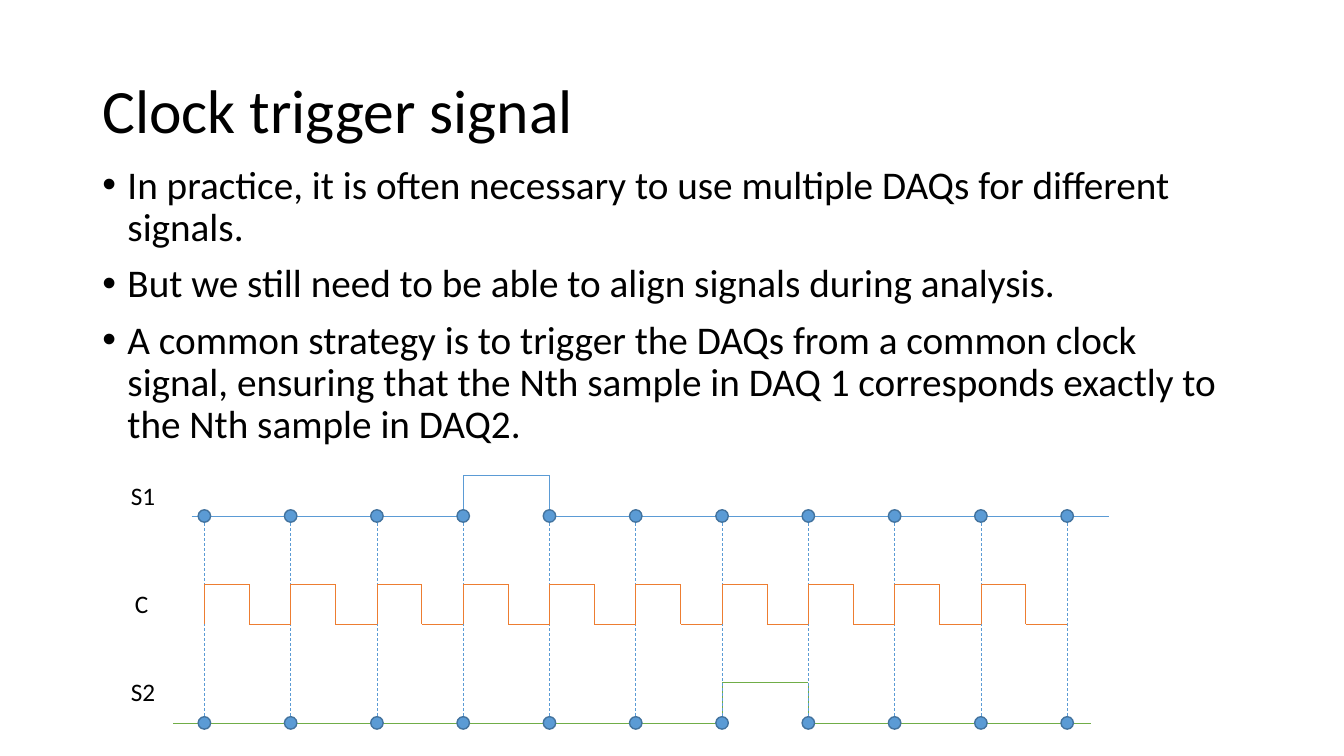
import collections
import itertools

import pptx
import pptx.dml.color
import pptx.enum.dml
import pptx.enum.shapes
import pptx.enum.text
import pptx.oxml
import pptx.oxml.ns
import pptx.util

Pt = pptx.util.Pt
Box = collections.namedtuple("Box", "left top width height")

BLACK = pptx.dml.color.RGBColor(0x00, 0x00, 0x00)
BLUE = pptx.dml.color.RGBColor(0x5B, 0x9B, 0xD5)
DARK_BLUE = pptx.dml.color.RGBColor(0x43, 0x73, 0x9E)
GREEN = pptx.dml.color.RGBColor(0x70, 0xAD, 0x47)
ORANGE = pptx.dml.color.RGBColor(0xED, 0x7D, 0x31)

TITLE = "Clock trigger signal"
POINTS = [
    "In practice, it is often necessary to use multiple DAQs for different signals.",
    "But we still need to be able to align signals during analysis.",
    "A common strategy is to trigger the DAQs from a common clock signal, ensuring that "
    "the Nth sample in DAQ 1 corresponds exactly to the Nth sample in DAQ2.",
]

SAMPLES = 11
PITCH = 61.63
FIRST_SAMPLE = 59.6
PULSE_HEIGHT = 28.8
HIGH_TIME = 32
DOT_SIZE = 8.9


def set_attributes(target, values):
    """Set each named attribute of the target."""
    for name, value in values.items():
        setattr(target, name, value)


def add_text(shapes, box, lines, size, anchor, paragraph_format):
    """Add a wrapped text box with one paragraph per line and return it."""
    text_box = shapes.add_textbox(*map(Pt, box))
    frame = text_box.text_frame
    set_attributes(frame, {"word_wrap": True, "vertical_anchor": anchor})
    for index, line in enumerate(lines):
        para = frame.add_paragraph() if index else frame.paragraphs[0]
        set_attributes(para, paragraph_format)
        span = para.add_run()
        span.text = line
        set_attributes(span.font, {"name": "Calibri", "size": Pt(size)})
        span.font.color.rgb = BLACK
    return text_box


def add_title(page, box):
    """Place the slide title in the box."""
    add_text(page.shapes, box, [TITLE], 44,
             pptx.enum.text.MSO_ANCHOR.MIDDLE, {"line_spacing": 0.9})


def add_bullets(page, box):
    """Place the bulleted points in the box."""
    text_box = add_text(page.shapes, box, POINTS, 28, pptx.enum.text.MSO_ANCHOR.TOP,
                        {"line_spacing": 0.9, "space_before": Pt(10)})
    for para in text_box.text_frame.paragraphs:
        properties = para._p.get_or_add_pPr()
        properties.set("marL", str(Pt(18)))
        properties.set("indent", str(-Pt(18)))
        font = pptx.oxml.parse_xml(
            f'<a:buFont {pptx.oxml.ns.nsdecls("a")} typeface="Arial"/>')
        bullet = pptx.oxml.parse_xml(
            f'<a:buChar {pptx.oxml.ns.nsdecls("a")} char="•"/>')
        properties.extend([font, bullet])


def add_label(shapes, left, top, text):
    """Add the name of a signal."""
    add_text(shapes, Box(left, top, 44.6, 29), [text], 18,
             pptx.enum.text.MSO_ANCHOR.TOP, {})


def add_trace(shapes, corners, color, dash=None):
    """Join successive corners with thin straight lines."""
    for start, end in itertools.pairwise(corners):
        line = shapes.add_connector(
            pptx.enum.shapes.MSO_CONNECTOR.STRAIGHT, *map(Pt, start + end))
        set_attributes(line.line, {"width": Pt(0.5), "dash_style": dash})
        line.line.color.rgb = color
        line._element.spPr.append(
            pptx.oxml.parse_xml(f'<a:effectLst {pptx.oxml.ns.nsdecls("a")}/>'))


def add_pulse(shapes, left, right, base, rise, fall, color):
    """Draw a flat signal with a single pulse."""
    high = base - PULSE_HEIGHT
    add_trace(shapes, [(left, base), (rise, base), (rise, high),
                       (fall, high), (fall, base), (right, base)], color)


def add_dot(shapes, x, y):
    """Draw a sample dot centred on a point."""
    dot = shapes.add_shape(
        pptx.enum.shapes.MSO_SHAPE.OVAL,
        Pt(x - DOT_SIZE / 2), Pt(y - DOT_SIZE / 2), Pt(DOT_SIZE), Pt(DOT_SIZE))
    dot.shadow.inherit = False
    dot.fill.solid()
    dot.fill.fore_color.rgb = BLUE
    dot.line.color.rgb = DARK_BLUE
    dot.line.width = Pt(1)


def add_timing_diagram(page, box):
    """Draw both signals, their samples and the shared clock in the box."""
    right = box.left + box.width
    bottom = box.top + box.height
    first_base = box.top + PULSE_HEIGHT
    clock_high = box.top + 77.4
    clock_low = clock_high + PULSE_HEIGHT
    ticks = [box.left + FIRST_SAMPLE + PITCH * index for index in range(SAMPLES)]

    add_label(page.shapes, box.left, box.top + 139.7, "S2")
    add_label(page.shapes, box.left, box.top, "S1")
    add_pulse(page.shapes.add_group_shape().shapes, box.left + 50.4, right,
              first_base, ticks[3], ticks[4], BLUE)
    add_pulse(page.shapes.add_group_shape().shapes, box.left + 37.4, right - 13,
              bottom, ticks[6], ticks[7], GREEN)

    clock = page.shapes.add_group_shape().shapes
    add_label(clock, box.left + 2.9, box.top + 77, "C")
    for base, tick in itertools.product((first_base, bottom), ticks):
        add_dot(clock, tick, base)
    for tick in ticks:
        add_trace(clock, [(tick, first_base + 5), (tick, bottom)], BLUE,
                  pptx.enum.dml.MSO_LINE.DASH)
    for tick, following in itertools.pairwise(ticks):
        fall = tick + HIGH_TIME
        add_trace(clock, [(tick, clock_low), (tick, clock_high), (fall, clock_high),
                          (fall, clock_low), (following, clock_low)], ORANGE)


def main():
    """Build and save the slide."""
    deck = pptx.Presentation()
    set_attributes(deck, {"slide_width": Pt(960), "slide_height": Pt(540)})
    page = deck.slides.add_slide(deck.slide_layouts[6])
    add_title(page, Box(66, 28.75, 828, 104.4))
    add_bullets(page, Box(66, 114.5, 828, 342.6))
    add_timing_diagram(page, Box(86.4, 339.8, 705.6, 176.6))
    deck.save("out.pptx")


if __name__ == "__main__":
    main()
